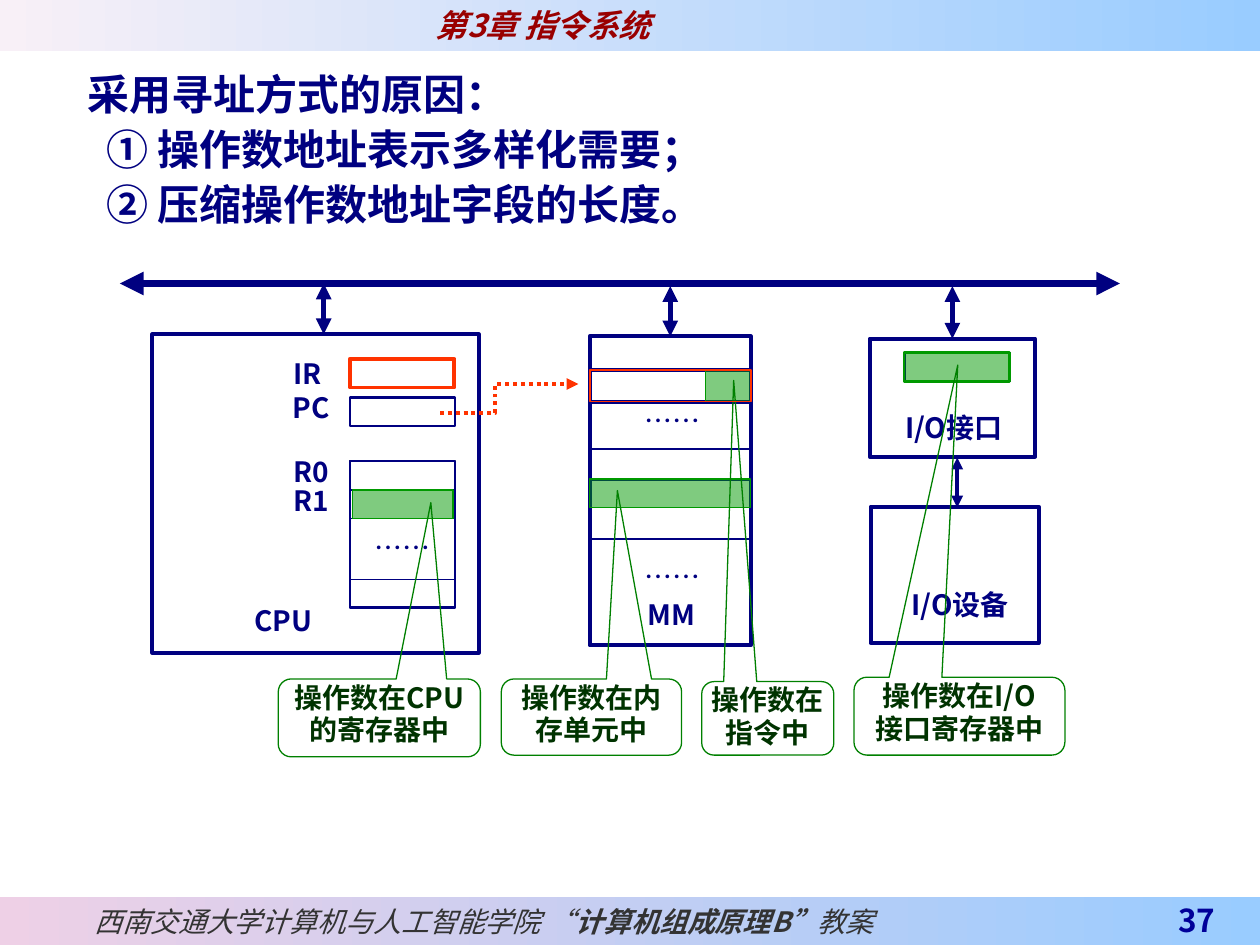
from dataclasses import dataclass

from lxml import etree
from pptx import Presentation
from pptx.dml.color import RGBColor
from pptx.enum import dml, shapes, text
from pptx.oxml import ns
from pptx.util import Pt


@dataclass(frozen=True)
class Theme:
    font: str = "Noto Sans CJK SC"
    navy: str = "000080"
    white: str = "FFFFFF"
    black: str = "000000"
    red: str = "FF3300"
    operand: str = "009900"
    callout_line: str = "008000"
    callout_text: str = "003300"
    chapter: str = "990000"
    footer: str = "333333"
    page: str = "000099"
    sky: str = "99CCFF"
    pale: str = "F8F0F7"
    pink: str = "EED0E6"
    heading_size: int = 24
    band_size: int = 18
    label_size: int = 16


T = Theme()
LEFT, CENTER, RIGHT = text.PP_ALIGN.LEFT, text.PP_ALIGN.CENTER, text.PP_ALIGN.RIGHT
TOP, MIDDLE, BOTTOM = (text.MSO_ANCHOR.TOP, text.MSO_ANCHOR.MIDDLE,
                       text.MSO_ANCHOR.BOTTOM)


def rgb(color):
    return RGBColor.from_string(color)


def style_paragraph(paragraph, size, color, bold=True, italic=False,
                    align=LEFT, spacing=None):
    paragraph.alignment = align
    if spacing:
        paragraph.line_spacing = spacing
    font = paragraph.font
    font.size, font.bold, font.italic = Pt(size), bold, italic
    font.color.rgb = rgb(color)
    font.name = T.font
    etree.SubElement(font._element, ns.qn("a:ea"), typeface=T.font)


def write(shape, lines, size, color, margins=(0, 0, 0, 0), anchor=TOP, **style):
    frame = shape.text_frame
    frame.word_wrap = True
    frame.vertical_anchor = anchor
    (frame.margin_left, frame.margin_top,
     frame.margin_right, frame.margin_bottom) = map(Pt, margins)
    frame.text = "\n".join(lines)
    for paragraph in frame.paragraphs:
        style_paragraph(paragraph, size, color, **style)
    return frame


def label(slide, words, x, y, w, h=26.5, size=T.label_size, color=T.navy,
          align=CENTER, **options):
    box = slide.shapes.add_textbox(Pt(x), Pt(y), Pt(w), Pt(h))
    return write(box, [words], size, color, align=align, **options)


def set_line(line, color, width):
    line.color.rgb = rgb(color)
    line.width = Pt(width)


def block(slide, x, y, w, h, width=0.75, line=T.navy, fill=None, opacity=100):
    rect = slide.shapes.add_shape(shapes.MSO_SHAPE.RECTANGLE,
                                  Pt(x), Pt(y), Pt(w), Pt(h))
    rect.shadow.inherit = False
    set_line(rect.line, line, width)
    if fill:
        rect.fill.solid()
        rect.fill.fore_color.rgb = rgb(fill)
        if opacity < 100:
            tint = rect.fill._xPr.find(".//" + ns.qn("a:srgbClr"))
            etree.SubElement(tint, ns.qn("a:alpha"), val=str(opacity * 1000))
    else:
        rect.fill.background()
    return rect


def operand(slide, x, y, w, h, width=0.75):
    return block(slide, x, y, w, h, width, T.operand, T.operand, opacity=50)


def band(slide, y, h, start, end):
    strip = slide.shapes.add_shape(shapes.MSO_SHAPE.RECTANGLE,
                                   0, Pt(y), Pt(720), Pt(h))
    strip.shadow.inherit = False
    strip.line.fill.background()
    strip.fill.gradient()
    strip.fill.gradient_angle = 0
    for stop, color in zip(strip.fill.gradient_stops, (start, end)):
        stop.color.rgb = rgb(color)
    return strip


def add_arrowheads(line, *ends):
    for end in ends:
        etree.SubElement(line._get_or_add_ln(), ns.qn("a:" + end), type="triangle")


def double_arrow(slide, x1, y1, x2, y2, width, target=None):
    link = slide.shapes.add_connector(shapes.MSO_CONNECTOR.STRAIGHT,
                                      Pt(x1), Pt(y1), Pt(x2), Pt(y2))
    set_line(link.line, T.navy, width)
    add_arrowheads(link.line, "headEnd", "tailEnd")
    etree.SubElement(link._element.spPr, ns.qn("a:effectLst"))
    if target is not None:
        link.end_connect(target, 0)


def callout(slide, lines, x, y, w, h, tip):
    bubble = slide.shapes.add_shape(shapes.MSO_SHAPE.ROUNDED_RECTANGULAR_CALLOUT,
                                    Pt(x), Pt(y), Pt(w), Pt(h))
    bubble.shadow.inherit = False
    bubble.adjustments[0], bubble.adjustments[1] = tip
    bubble.fill.background()
    set_line(bubble.line, T.callout_line, 0.75)
    write(bubble, lines, T.label_size, T.callout_text, align=CENTER, spacing=0.96)


def fetch_path(slide):
    builder = slide.shapes.build_freeform(Pt(251.5), Pt(236))
    builder.add_line_segments([(Pt(x), Pt(y)) for x, y in
                               ((283, 236), (283, 219.5), (330.5, 219.5))],
                              close=False)
    route = builder.convert_to_shape()
    route.shadow.inherit = False
    route.fill.background()
    set_line(route.line, T.red, 2.25)
    route.line.dash_style = dml.MSO_LINE.ROUND_DOT
    add_arrowheads(route.line, "tailEnd")


def add_frame(slide):
    footer = band(slide, 512.75, 27.25, T.pink, T.sky)
    frame = write(footer, [""], T.label_size, T.footer, (54, 0, 0, 0), MIDDLE,
                  bold=False, italic=True)
    for words, bold in (("西南交通大学计算机与人工智能学院 “", False),
                        ("计算机组成原理B”", True), ("教案", False)):
        run = frame.paragraphs[0].add_run()
        run.text, run.font.bold = words, bold
    label(slide, "37", 623.5, 512.75, 78, 27.25, T.band_size, T.page, RIGHT,
          margins=(7.2, 0, 7.2, 3.6), anchor=BOTTOM)
    header = band(slide, 0, 29, T.pale, T.sky)
    write(header, ["第3章 指令系统"], T.band_size, T.chapter,
          (249, 0, 0, 0), MIDDLE, italic=True)


def add_reasons(slide):
    box = slide.shapes.add_textbox(Pt(16), Pt(32.5), Pt(525), Pt(103))
    frame = write(box, ["采用寻址方式的原因：", "① 操作数地址表示多样化需要；",
                        "② 压缩操作数地址字段的长度。"],
                  T.heading_size, T.navy, (7.2, 3.6, 7.2, 3.6), spacing=1.1)
    for paragraph, indent in zip(frame.paragraphs, (27, 37.5, 37.5)):
        paragraph._p.get_or_add_pPr().set("marL", str(Pt(indent)))


def add_cpu(slide):
    x, w, h = 200, 60, 16.5
    block(slide, 87, 191, 186.5, 182, 2.25, fill=T.white)
    label(slide, "CPU", 145.5, 345, 62, align=LEFT)
    for y, height, width, line in ((205, h, 0.75, T.navy), (227, h, 1.5, T.navy),
                                   (263.5, h, 0.75, T.black),
                                   (263.5, 83.5, 1.5, T.navy),
                                   (280, h, 0.75, T.navy)):
        block(slide, x, y, w, height, width, line, T.white)
    block(slide, x, 331, w, h)
    for name, left, y in (("IR", 153.5, 204), ("PC", 155.5, 223),
                          ("R0", 155.5, 260), ("R1", 155.5, 276.5)):
        label(slide, name, left, y, 44.5)
    label(slide, "……", x, 303, w, bold=False)


def add_memory(slide):
    x, w, h = 337, 92, 18
    memory = block(slide, x, 192.25, w, 176.5, 2.25, fill=T.white)
    block(slide, x, 211.5, w, h, 2.25, fill=T.white)
    for y in (256.5, 290):
        block(slide, x, y, w, h)
    for y in (230.5, 319.5):
        label(slide, "……", 350, y, 69, bold=False)
    label(slide, "MM", 341.5, 341.5, 84)
    return memory


def add_io(slide):
    interface = block(slide, 497, 193.5, 94.5, 67.5, 2.25, fill=T.white)
    block(slide, 497.5, 289.5, 96, 78, 2.25, fill=T.white)
    block(slide, 517.5, 201.5, 60, 16.5, fill=T.white)
    label(slide, "I/O设备", 506, 336, 85)
    label(slide, "I/O接口", 502.5, 234.5, 85)
    return interface


def main():
    deck = Presentation()
    deck.slide_width, deck.slide_height = Pt(720), Pt(540)
    slide = deck.slides.add_slide(deck.slide_layouts[6])
    add_frame(slide)
    add_reasons(slide)

    # Computer parts
    add_cpu(slide)
    memory = add_memory(slide)
    interface = add_io(slide)

    # Bus and its branches
    double_arrow(slide, 68.5, 162, 640, 162, 4.5)
    double_arrow(slide, 185, 162, 185, 191, 3)
    double_arrow(slide, 383, 163.5, 383, 192.25, 3, memory)
    double_arrow(slide, 544.25, 163.5, 544.25, 193.5, 3, interface)
    double_arrow(slide, 547, 261.5, 547, 290, 2.25)

    # Where operands may be found
    operand(slide, 201.5, 280, 57.5, 16.5)
    operand(slide, 337, 273.75, 92, 16.5)
    operand(slide, 403, 211.5, 26, 18)
    operand(slide, 516.5, 201.5, 60.5, 16.5, 1.5)
    callout(slide, ["操作数在CPU", "的寄存器中"], 159, 388, 115.5, 44.5, (0.255, -2.764))
    callout(slide, ["操作数在指令中"], 401, 389.5, 75.5, 42, (-0.258, -4.596))
    callout(slide, ["操作数在内", "存单元中"], 286.5, 388, 103, 43.5, (0.144, -2.975))
    callout(slide, ["操作数在I/O", "接口寄存器中"], 488, 387, 120.5, 44.5,
            (-0.008, -4.508))

    # Instruction fetch
    block(slide, 337, 211.5, 92, 18, 1, T.red)
    block(slide, 200, 205, 59.5, 16.5, 2.25, T.red)
    fetch_path(slide)
    deck.save("out.pptx")


if __name__ == "__main__":
    main()
